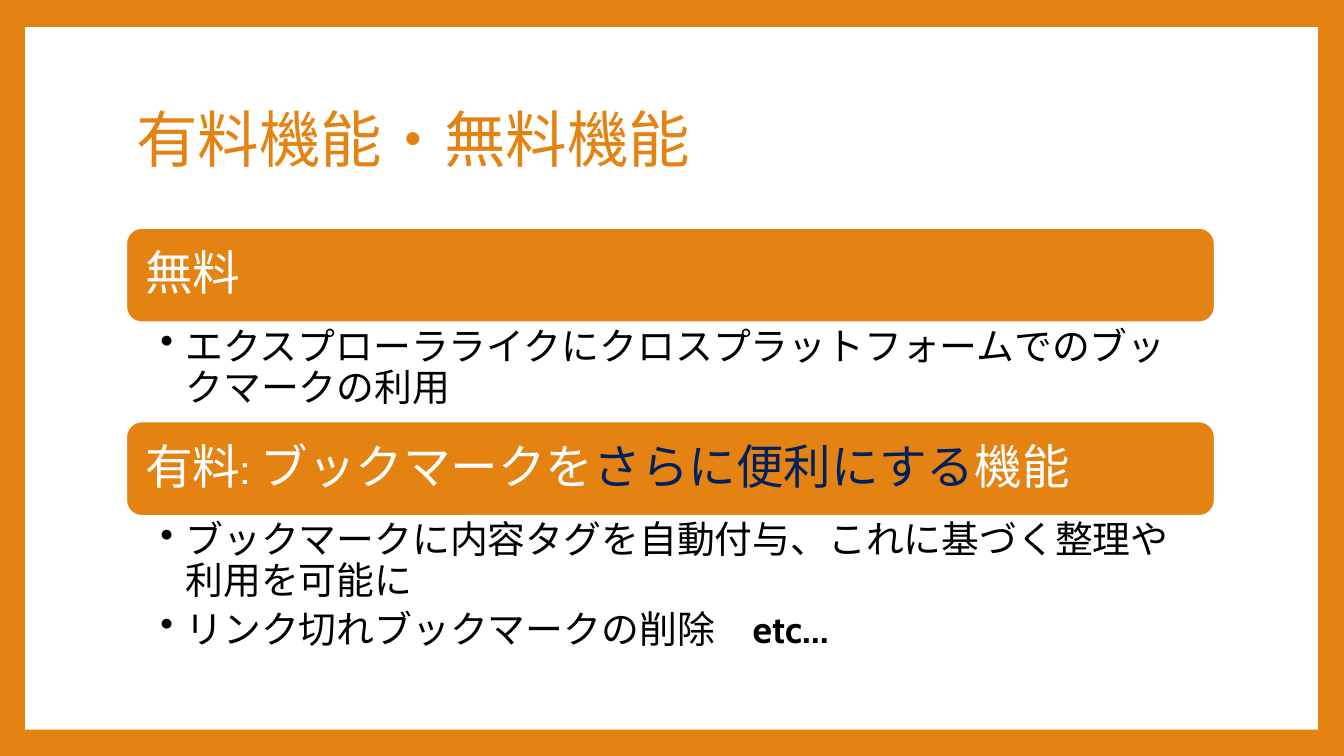
from lxml import etree
from pptx import Presentation
from pptx import util as u
from pptx.dml.color import RGBColor
from pptx.enum import shapes, text
from pptx.oxml import ns

COLORS = {"orange": "E48312", "white": "FFFFFF", "navy": "002060", "black": "000000"}
FONT = "Cabin"
LEFT, WIDTH = 1.25, 10.8
HEADING_HEIGHT, HEADING_INSET = 0.94, 0.05


def add_runs(paragraph, runs, size):
    paragraph.line_spacing = 0.9
    for words, color, bold in runs:
        run = paragraph.add_run()
        run.text = words
        run.font.size = u.Pt(size)
        run.font.bold = bold
        run.font.color.rgb = RGBColor.from_string(COLORS[color])
        run.font.name = FONT
        east_asian = etree.SubElement(run.font._element, ns.qn("a:ea"))
        east_asian.set("typeface", FONT)


def set_frame(frame, anchor, left, top, right, bottom):
    frame.word_wrap = True
    frame.auto_size = text.MSO_AUTO_SIZE.NONE
    frame.vertical_anchor = anchor
    frame.margin_left, frame.margin_top = u.Inches(left), u.Inches(top)
    frame.margin_right, frame.margin_bottom = u.Inches(right), u.Inches(bottom)


sections = [
    ([("無料", "white", False)],
     0.98,
     [[("エクスプローラライクにクロスプラットフォームでのブックマークの利用", "black", False)]]),
    ([("有料: ブックマークを", "white", False),
      ("さらに便利にする", "navy", False),
      ("機能", "white", False)],
     1.54,
     [[("ブックマークに内容タグを自動付与、これに基づく整理や利用を可能に", "black", False)],
      [("リンク切れブックマークの削除\u3000", "black", False), ("etc…", "black", True)]]),
]

deck = Presentation()
deck.slide_width, deck.slide_height = u.Inches(13.33), u.Inches(7.5)
slide = deck.slides.add_slide(deck.slide_layouts[5])
slide.background.fill.solid()
slide.background.fill.fore_color.rgb = RGBColor.from_string(COLORS["orange"])

panel = slide.shapes.add_shape(
    shapes.MSO_SHAPE.RECTANGLE, u.Inches(0.25), u.Inches(0.27), u.Inches(12.82), u.Inches(6.97))
panel.shadow.inherit = False
panel.fill.solid()
panel.fill.fore_color.rgb = RGBColor.from_string(COLORS["white"])
panel.line.fill.background()

title = slide.shapes.title
title.element.addprevious(panel.element)
title.left, title.top = u.Inches(LEFT), u.Inches(0.67)
title.width, title.height = u.Inches(WIDTH), u.Inches(1.48)
set_frame(title.text_frame, text.MSO_ANCHOR.MIDDLE, 0.1, 0.05, 0.1, 0.05)
title_line = title.text_frame.paragraphs[0]
title_line.alignment = text.PP_ALIGN.LEFT
add_runs(title_line, [("有料機能・無料機能", "orange", False)], 44)

top = 2.26
for heading_runs, details_height, details in sections:
    bar = slide.shapes.add_shape(
        shapes.MSO_SHAPE.ROUNDED_RECTANGLE,
        u.Inches(LEFT), u.Inches(top), u.Inches(WIDTH), u.Inches(HEADING_HEIGHT))
    bar.shadow.inherit = False
    bar.fill.solid()
    bar.fill.fore_color.rgb = RGBColor.from_string(COLORS["orange"])
    bar.line.color.rgb = RGBColor.from_string(COLORS["white"])
    bar.line.width = u.Pt(1.5)

    heading = slide.shapes.add_textbox(
        u.Inches(LEFT + HEADING_INSET), u.Inches(top + HEADING_INSET),
        u.Inches(WIDTH - 2 * HEADING_INSET), u.Inches(HEADING_HEIGHT - 2 * HEADING_INSET))
    set_frame(heading.text_frame, text.MSO_ANCHOR.MIDDLE, 0.14, 0.14, 0.14, 0.14)
    add_runs(heading.text_frame.paragraphs[0], heading_runs, 34)
    top += HEADING_HEIGHT

    body = slide.shapes.add_textbox(
        u.Inches(LEFT), u.Inches(top), u.Inches(WIDTH), u.Inches(details_height))
    set_frame(body.text_frame, text.MSO_ANCHOR.TOP, 0.34, 0.05, 0.26, 0.05)
    for index, detail_runs in enumerate(details):
        item = body.text_frame.add_paragraph() if index else body.text_frame.paragraphs[0]
        item.level = 1
        item.space_after = u.Pt(5.4)
        add_runs(item, detail_runs, 27)
        properties = item._p.get_or_add_pPr()
        properties.set("marL", str(u.Inches(0.25)))
        properties.set("indent", str(-u.Inches(0.25)))
        etree.SubElement(properties, ns.qn("a:buChar")).set("char", "•")
    top += details_height

deck.save("out.pptx")
